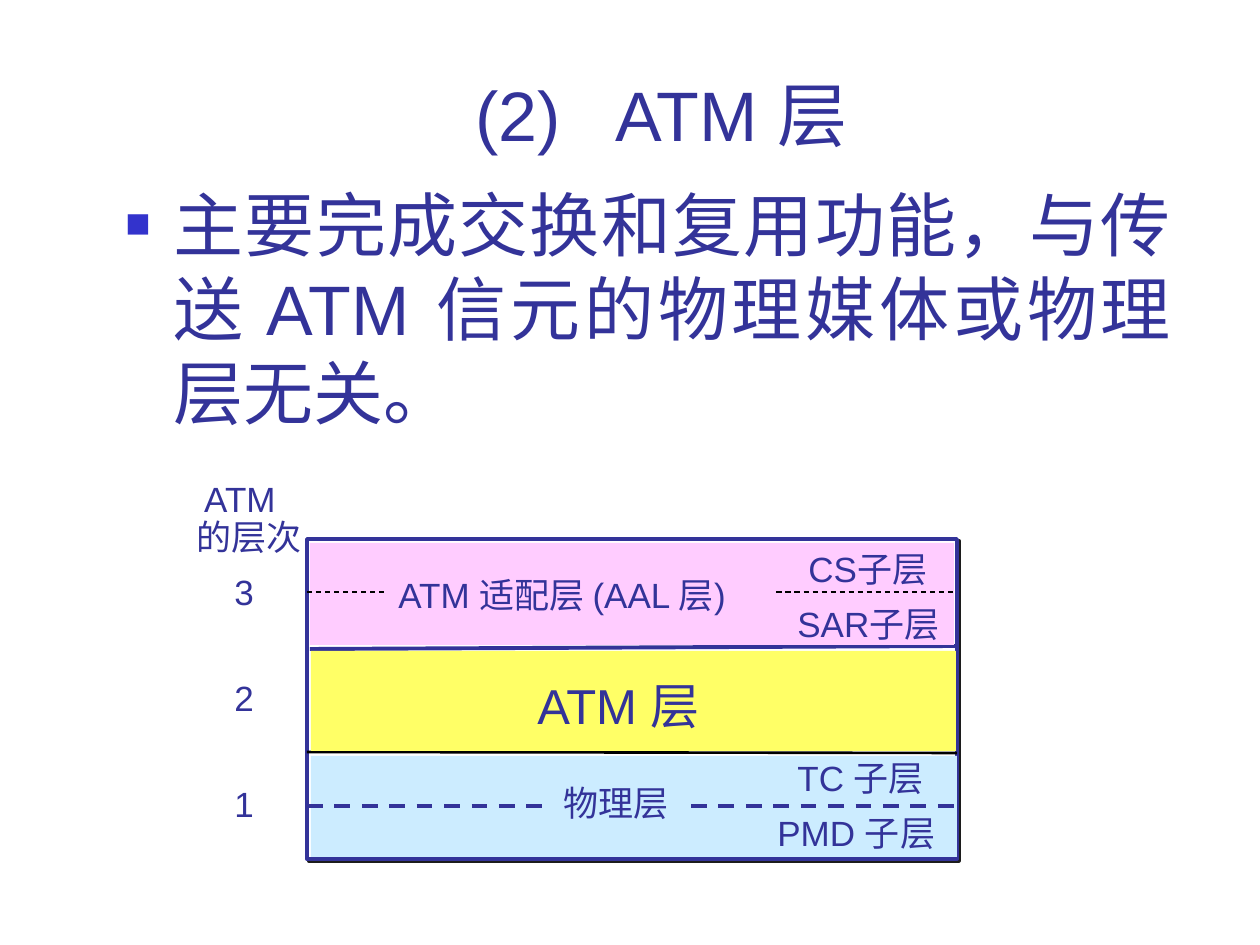
from lxml import etree
from pptx import Presentation
from pptx.dml.color import RGBColor
from pptx.enum.dml import MSO_LINE
from pptx.enum.shapes import MSO_CONNECTOR, MSO_SHAPE
from pptx.enum.text import MSO_ANCHOR, MSO_AUTO_SIZE, PP_ALIGN
from pptx.oxml import parse_xml
from pptx.oxml.ns import nsdecls, qn
from pptx.util import Pt

RECT, STRAIGHT, DASH = MSO_SHAPE.RECTANGLE, MSO_CONNECTOR.STRAIGHT, MSO_LINE.DASH
TOP, BOTTOM, NO_FIT = MSO_ANCHOR.TOP, MSO_ANCHOR.BOTTOM, MSO_AUTO_SIZE.NONE
LEFT, CENTER, JUSTIFY = PP_ALIGN.LEFT, PP_ALIGN.CENTER, PP_ALIGN.JUSTIFY
INK, WHITE, BLACK = "333399", "FFFFFF", "000000"
PINK, YELLOW, BLUE = "FFCCFF", "FFFF66", "CCECFF"


def px(n):
    return round(n * 914400 / 126)


def rgb(value):
    return RGBColor.from_string(value)


class Deck:
    """Style and current slide, with one method per kind of element."""

    font = "Arial"

    def __init__(self, width, height):
        self.prs = Presentation()
        self.prs.slide_width, self.prs.slide_height = px(width), px(height)
        self.s = self.prs.slides.add_slide(self.prs.slide_layouts[6])

    def label(self, sp, lines, size=20, wrap=False, anchor=TOP, **fmt):
        tf = sp.text_frame
        frame = {"word_wrap": wrap, "auto_size": NO_FIT, "vertical_anchor": anchor}
        for name, value in frame.items():
            setattr(tf, name, value)
        for i, line in enumerate(lines.split("\n")):
            p = tf.add_paragraph() if i else tf.paragraphs[0]
            for name, value in {"alignment": LEFT, **fmt}.items():
                setattr(p, name, value)
            r = p.add_run()
            r.text = line
            for name, value in {"name": self.font, "size": Pt(size)}.items():
                setattr(r.font, name, value)
            r.font.color.rgb = rgb(INK)

    def text(self, box, lines, **style):
        sp = self.s.shapes.add_textbox(*map(px, box))
        self.label(sp, lines, **style)
        return sp

    def bullet(self, sp, color, percent, indent):
        pPr = sp.text_frame.paragraphs[0]._p.get_or_add_pPr()
        pPr.set("marL", str(px(indent)))
        pPr.set("indent", str(-px(indent)))
        clr = etree.SubElement(pPr, qn("a:buClr"))
        etree.SubElement(clr, qn("a:srgbClr"), val=color)
        etree.SubElement(pPr, qn("a:buSzPct"), val=str(percent * 1000))
        etree.SubElement(pPr, qn("a:buFont"), typeface=self.font)
        etree.SubElement(pPr, qn("a:buChar"), char="■")

    def rect(self, box, fill, line=None, width=2.25):
        sp = self.s.shapes.add_shape(RECT, *map(px, box))
        sp.shadow.inherit = False
        sp.fill.solid()
        sp.fill.fore_color.rgb = rgb(fill)
        if line:
            sp.line.color.rgb = rgb(line)
            sp.line.width = Pt(width)
        else:
            sp.line.fill.background()
        return sp

    def shadow(self, sp, color, distance):
        effects = sp._element.spPr.find(qn("a:effectLst"))
        effects.append(parse_xml(
            f'<a:outerShdw {nsdecls("a")} dist="{Pt(distance)}" dir="2700000" '
            f'algn="ctr" rotWithShape="0"><a:srgbClr val="{color}"/></a:outerShdw>'))

    def line(self, ends, color, width, dash=None):
        c = self.s.shapes.add_connector(STRAIGHT, *map(px, ends))
        c.line.color.rgb = rgb(color)
        for name, value in {"width": Pt(width), "dash_style": dash}.items():
            setattr(c.line, name, value)
        etree.SubElement(c._element.spPr, qn("a:effectLst"))


def main():
    deck = Deck(1260, 945)
    deck.text((95, 16, 1133, 146), "(2)   ATM 层", size=40, wrap=True,
              anchor=BOTTOM, alignment=CENTER, line_spacing=1.1)

    left, right = 307, 957
    stack = deck.rect((left, 539, right - left, 320), WHITE, INK)
    deck.shadow(stack, "1C1C1C", 1.4)
    deck.line((left, 752, right, 753), BLACK, 1.5)
    deck.line((310, 649, right, 646), INK, 2.25)
    deck.rect((311, 756, 646, 101), BLUE)
    deck.line((left, 806, right, 806), INK, 2.25, DASH)
    deck.rect((311, 651, 645, 100), YELLOW)
    deck.rect((310, 543, 644, 102), PINK)
    deck.line((left, 592, right, 592), BLACK, 0.75, DASH)

    deck.text((525, 669, 203, 72), "ATM 层", size=28)
    for box, fill, name in (((551, 775, 130, 55), BLUE, "物理层"),
                            ((386, 567, 389, 55), PINK, "ATM 适配层 (AAL 层)")):
        deck.label(deck.rect(box, fill), name)
    for x, y, width, name in ((765, 805, 192, "PMD 子层"), (785, 750, 160, "TC 子层"),
                              (785, 596, 175, "SAR子层"), (796, 541, 152, "CS子层")):
        deck.text((x, y, width, 55), name)
    for i, number in enumerate("321"):
        deck.text((222, 564 + 106 * i, 44, 55), number)
    deck.text((184, 476, 130, 88), " ATM\n的层次", line_spacing=0.9)

    body = deck.text((113, 175, 1071, 289),
                     "主要完成交换和复用功能，与传送 ATM 信元的物理媒体或物理层无关。",
                     size=40, wrap=True, alignment=JUSTIFY, space_before=Pt(10))
    deck.bullet(body, "3333CC", 60, 48)
    deck.prs.save("out.pptx")


if __name__ == "__main__":
    main()
